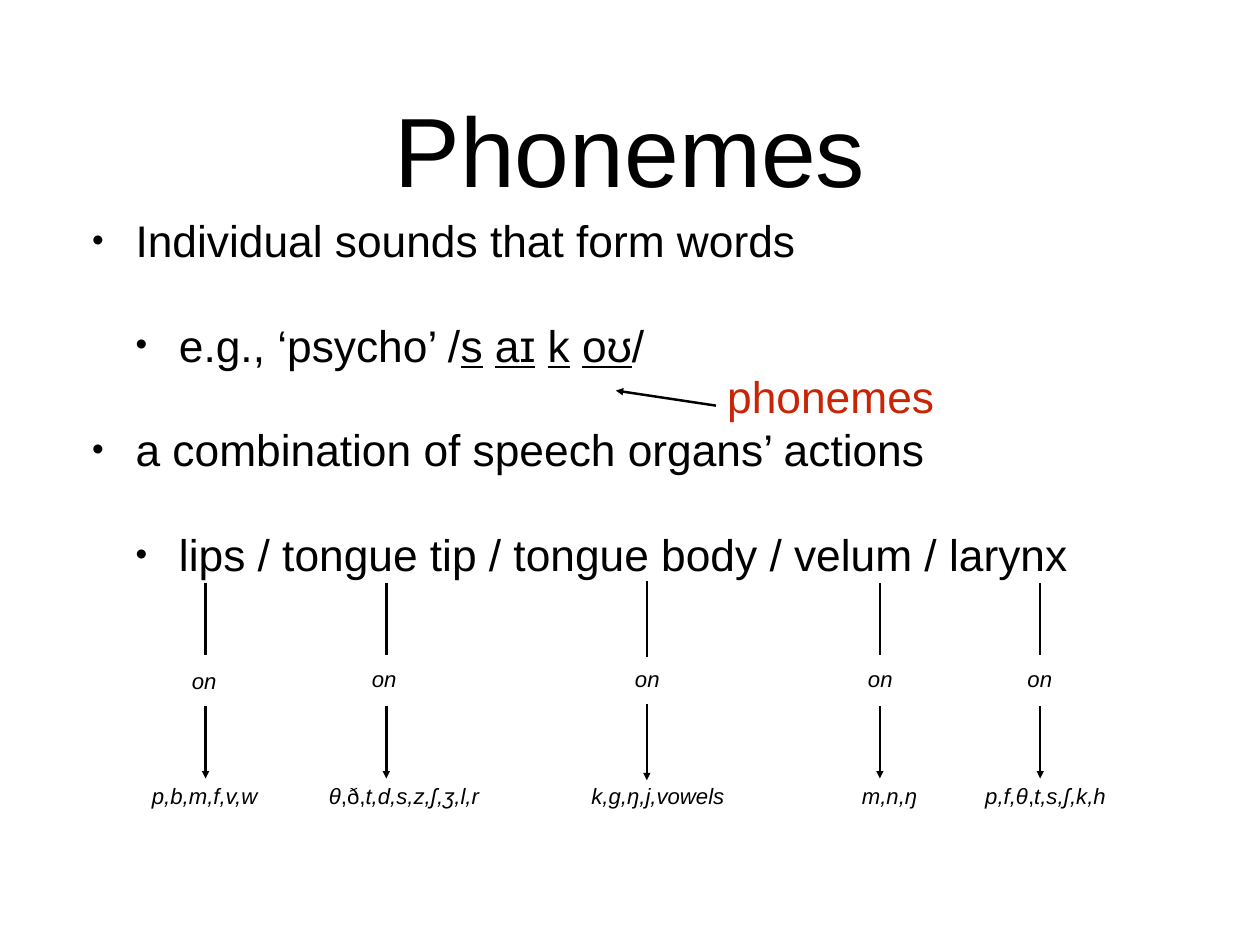
from pptx import Presentation
from pptx import util as u
from pptx.dml.color import RGBColor
from pptx.enum import shapes, text
from pptx.oxml import parse_xml
from pptx.oxml.ns import nsdecls, qn

HUES = {"ink": "000000", "red": "C82506"}
FONT = "Arial"

# Bullet text: level and runs of (words, format)
LINE = {"underline": True}
BODY = [
    (0, [("Individual sounds that form words", {})]),
    (1, [("e.g., ‘psycho’ /", {}), ("s", LINE), (" ", {}), ("aɪ", LINE),
         (" ", {}), ("k", LINE), (" ", {}), ("oʊ", LINE), ("/", {})]),
    (0, [("a combination of speech organs’ actions", {})]),
    (1, [("lips / tongue tip / tongue body / velum / larynx", {})]),
]

# Organs: line x, line stretch, "on" box (left, top), sounds box (left, width), sounds
SLANT, PLAIN = {"italic": True}, {"italic": False}
ORGANS = [
    (2.32, 0, (2.09, 7.47), (1.53, 1.56), [("p,b,m,f,v,w", SLANT)]),
    (4.36, 0, (4.12, 7.45), (3.56, 2.07),
     [("θ", SLANT), (",ð,", PLAIN), ("t,d,s,z,ʃ,ʒ,l,r ", SLANT)]),
    (7.3, 0.02, (7.09, 7.45), (6.54, 1.77), [("k,g,ŋ,j,vowels", SLANT)]),
    (9.93, 0, (9.72, 7.45), (9.57, 0.94), [("m,n,ŋ", SLANT)]),
    (11.74, 0, (11.52, 7.45), (10.71, 2.18),
     [("p,f,θ", SLANT), (",", PLAIN), ("t,s,ʃ,k,h", SLANT)]),
]


def add_runs(para, runs, size, hue="ink"):
    for words, form in runs:
        run = para.add_run()
        run.text = words
        style = {"name": FONT, "size": u.Pt(size), **form}
        for key, value in style.items():
            setattr(run.font, key, value)
        run.font.color.rgb = RGBColor.from_string(HUES[hue])


def add_frame(slide, box, inset=0, wrap=True):
    frame = slide.shapes.add_textbox(*map(u.Inches, box)).text_frame
    form = {"word_wrap": wrap, "vertical_anchor": text.MSO_ANCHOR.MIDDLE}
    for side in ("left", "right", "top", "bottom"):
        form["margin_" + side] = u.Inches(inset)
    for key, value in form.items():
        setattr(frame, key, value)
    return frame


def add_label(slide, box, runs, size, hue="ink", inset=0.06, wrap=False):
    para = add_frame(slide, box, inset, wrap).paragraphs[0]
    para.alignment = text.PP_ALIGN.CENTER
    add_runs(para, runs, size, hue)


def add_list(slide, box, items, size):
    frame = add_frame(slide, box)
    for num, (level, runs) in enumerate(items):
        para = frame.add_paragraph() if num else frame.paragraphs[0]
        para.level = level
        props = para._p.get_or_add_pPr()
        props.set("marL", str(u.Inches(0.49 * (level + 1))))
        props.set("indent", str(u.Inches(-0.49)))
        if num:
            para.space_before = u.Pt(42)
        for tag in ('buSzPct {} val="75000"', 'buFont {} typeface="Arial"',
                    'buChar {} char="•"'):
            props.append(parse_xml("<a:" + tag.format(nsdecls("a")) + "/>"))
        add_runs(para, runs, size)


def add_line(slide, start, end, head=False):
    line = slide.shapes.add_connector(
        shapes.MSO_CONNECTOR.STRAIGHT, *map(u.Inches, start + end))
    line.line.width = u.Pt(2)
    line.line.color.rgb = RGBColor.from_string(HUES["ink"])
    if head:
        line.line._get_or_add_ln().append(
            parse_xml(f'<a:tailEnd {nsdecls("a")} type="triangle"/>'))
    props = line._element.spPr
    props.append(props.makeelement(qn("a:effectLst"), {}))


def add_organ(slide, x, stretch, on, sounds, runs):
    for top, head in ((6.58, False), (7.97, True)):
        add_line(slide, (x, top - stretch), (x, top + 0.82 + stretch), head)
    add_label(slide, (*on, 0.43, 0.42), [("on", SLANT)], 18)
    left, width = sounds
    add_label(slide, (left, 8.77, width, 0.42), runs, 18)


def main():
    deck = Presentation()
    deck.slide_width, deck.slide_height = u.Inches(14.22), u.Inches(10.67)
    slide = deck.slides.add_slide(deck.slide_layouts[6])

    # Title and bullets
    add_label(slide, (1.04, 0.49, 12.14, 2.36), [("Phonemes", {})], 80,
              inset=0, wrap=True)
    add_list(slide, (1.04, 1.79, 12.14, 5.38), BODY, 36)

    # Callout
    add_label(slide, (8.06, 4.11, 2.63, 0.71), [("phonemes", {})], 36, "red")
    add_line(slide, (8.08, 4.58), (6.95, 4.41), head=True)

    # Speech organs and their sounds
    for organ in ORGANS:
        add_organ(slide, *organ)

    deck.save("out.pptx")


if __name__ == "__main__":
    main()
